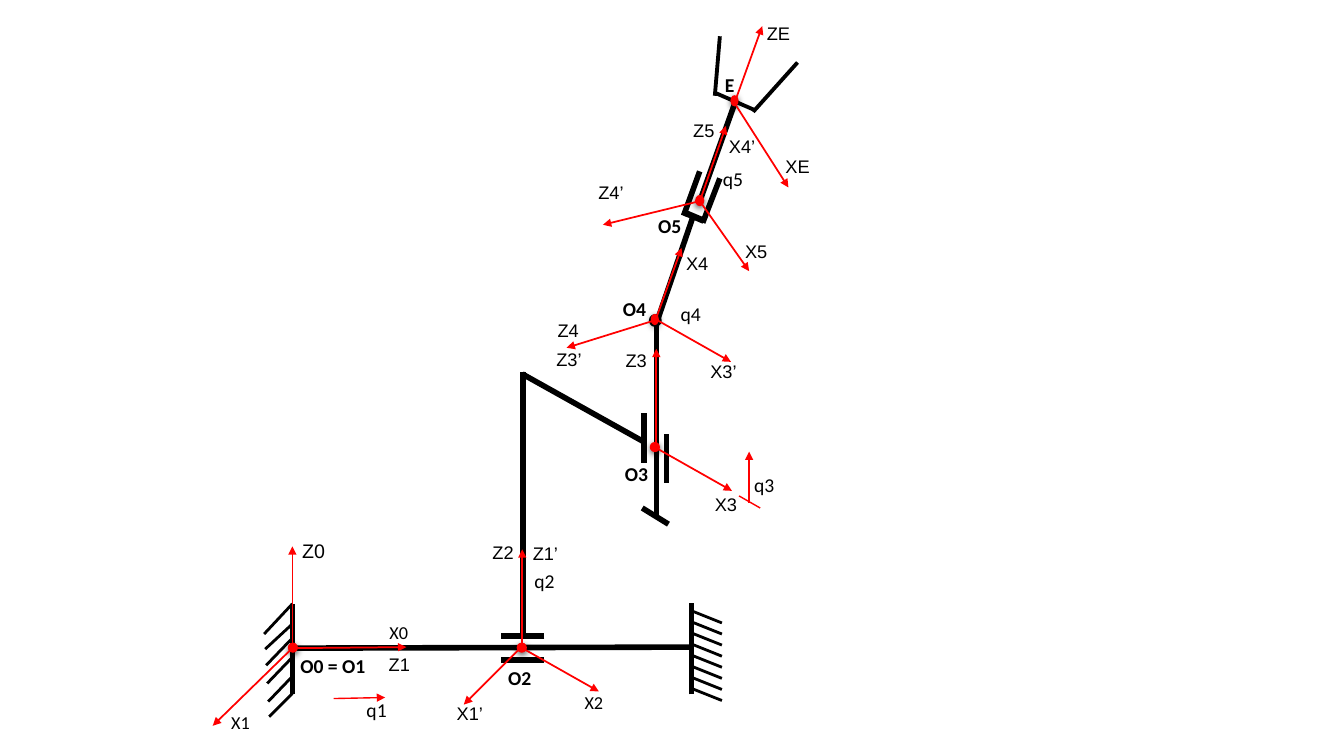
from lxml import etree
from pptx import Presentation
from pptx.dml.color import RGBColor
from pptx.enum import shapes, text
from pptx.oxml import ns
from pptx.util import Inches, Pt

COLORS = {"link": "000000", "frame": "FF0000"}

presentation = Presentation()
presentation.slide_width = Inches(13.33)
presentation.slide_height = Inches(7.5)
slide = presentation.slides.add_slide(presentation.slide_layouts[6])


def add_line(start, end, color, width, arrow=False):
    line = slide.shapes.add_connector(
        shapes.MSO_CONNECTOR.STRAIGHT, *(Inches(v) for v in (*start, *end)))
    line.line.color.rgb = RGBColor.from_string(COLORS[color])
    line.line.width = Pt(width)
    if arrow:
        etree.SubElement(line.line._get_or_add_ln(), ns.qn("a:tailEnd"), type="triangle")
    etree.SubElement(line._element.spPr, ns.qn("a:effectLst"))


def add_dot(left, top, width, height, color, line_width):
    """Add a filled joint marker and return it."""
    dot = slide.shapes.add_shape(
        shapes.MSO_SHAPE.OVAL, *(Inches(v) for v in (left, top, width, height)))
    dot.fill.solid()
    dot.fill.fore_color.rgb = RGBColor.from_string(COLORS[color])
    dot.line.color.rgb = RGBColor.from_string(COLORS[color])
    dot.line.width = Pt(line_width)
    dot.shadow.inherit = False
    return dot


# Walls, links and gripper
links = [
    ((5.4, 6.31), (4.97, 6.31), 4), ((5.4, 6.55), (4.97, 6.55), 4),
    ((7.09, 0.92), (7.48, 1.09), 2.75), ((7.47, 1.11), (7.91, 0.62), 2.75),
    ((7.09, 0.95), (7.14, 0.36), 2.75),
    ((6.86, 6.89), (6.86, 5.98), 4), ((2.9, 5.99), (2.9, 6.89), 4),
    ((6.84, 6.42), (2.9, 6.43), 4), ((5.19, 3.69), (5.19, 6.32), 4),
    ((6.38, 4.38), (5.18, 3.71), 4), ((6.39, 4.1), (6.39, 4.59), 4),
    ((6.61, 4.31), (6.61, 4.79), 4), ((6.51, 3.18), (6.51, 5.14), 4),
    ((6.37, 5.04), (6.63, 5.2), 4), ((6.87, 2.16), (6.52, 3.18), 4),
    ((6.79, 2.11), (6.98, 2.19), 4.5), ((7.14, 1.77), (6.97, 2.21), 4),
    ((6.94, 1.7), (6.78, 2.14), 4), ((7.3, 0.99), (6.94, 2), 4),
]
for start, end, width in links:
    add_line(start, end, "link", width)
for i in range(8):
    add_line((6.86, 6.06 + 0.11 * i), (7.16, 6.18 + 0.11 * i), "link", 2)
left_hatching = [(5.99, 6.29), (6.19, 6.44), (6.33, 6.6),
                 (6.52, 6.78), (6.71, 6.96), (6.88, 7.11)]
for i, (wall_y, outer_y) in enumerate(left_hatching):
    add_line((2.9, wall_y), (2.62 + 0.01 * i, outer_y), "link", 2)

# Joint origins
add_dot(6.45, 3.13, 0.1, 0.1, "link", 2)
origins = [
    (2.86, 6.38, 0.09, 0.09), (5.13, 6.38, 0.09, 0.09), (6.45, 4.39, 0.09, 0.09),
    (6.46, 3.12, 0.07, 0.1), (6.9, 1.94, 0.08, 0.1), (7.25, 0.95, 0.07, 0.1),
]
for origin in origins:
    dot = add_dot(*origin, "frame", 0.75)
    effects = dot._element.spPr.find(ns.qn("a:effectLst"))
    shadow = etree.SubElement(effects, ns.qn("a:outerShdw"), blurRad=str(Pt(4.5)),
                              dist=str(Pt(1.5)), dir="5400000", rotWithShape="0")
    shadow_color = etree.SubElement(shadow, ns.qn("a:srgbClr"), val=COLORS["link"])
    etree.SubElement(shadow_color, ns.qn("a:alpha"), val="63000")

# Frame axes
axes = [
    ((2.9, 6.39), (2.9, 5.42)), ((2.92, 6.41), (2.11, 7.2)), ((2.92, 6.43), (4.03, 6.42)),
    ((5.18, 6.43), (5.18, 5.45)), ((5.18, 6.43), (5.94, 6.86)), ((5.17, 6.42), (4.6, 6.99)),
    ((6.51, 4.44), (6.51, 3.46)), ((6.5, 4.44), (7.26, 4.87)),
    ((6.52, 3.17), (5.62, 3.45)), ((6.5, 3.18), (6.76, 2.46)), ((6.49, 3.16), (7.25, 3.59)),
    ((6.93, 1.98), (7.43, 2.69)), ((6.95, 1.97), (7.2, 1.25)), ((6.92, 2), (5.98, 2.23)),
    ((7.29, 1.03), (7.82, 1.86)), ((7.3, 0.98), (7.56, 0.26)),
]
for start, end in axes:
    add_line(start, end, "frame", 1.25, arrow=True)

# Joint motions: straight for q1 and q3, curved for q2, q4 and q5
add_line((3.31, 6.93), (3.82, 6.92), "frame", 1, arrow=True)
add_line((7.43, 4.99), (7.43, 4.48), "frame", 1, arrow=True)
add_line((7.54, 5.04), (7.33, 4.92), "frame", 1)
rotations = [
    [(4.96, 5.92), (5.02, 5.99), (5.07, 6.02), (5.12, 6.04), (5.16, 6.06), (5.22, 6.06),
     (5.27, 6.06), (5.32, 6.03), (5.41, 5.96), (5.42, 5.93)],
    [(5.39, 5.91), (5.42, 5.91), (5.46, 5.9), (5.46, 5.94), (5.47, 5.97)],
    [(6.63, 3.37), (6.68, 3.31), (6.7, 3.26), (6.71, 3.21), (6.71, 3.15),
     (6.7, 3.11), (6.68, 3.08), (6.62, 3.04), (6.6, 3.03)],
    [(6.58, 3.33), (6.58, 3.36), (6.6, 3.4), (6.64, 3.4), (6.68, 3.39)],
    [(7.2, 1.68), (7.18, 1.63), (7.16, 1.6), (7.13, 1.58), (7.09, 1.55),
     (7.05, 1.54), (7.02, 1.55), (6.95, 1.57), (6.93, 1.58)],
    [(7.14, 1.69), (7.17, 1.71), (7.21, 1.72), (7.23, 1.69), (7.25, 1.67)],
]
for points in rotations:
    builder = slide.shapes.build_freeform(*points[0], scale=Inches(1))
    builder.add_line_segments(points[1:], close=False)
    curve = builder.convert_to_shape()
    curve.fill.background()
    curve.line.color.rgb = RGBColor.from_string(COLORS["frame"])
    curve.line.width = Pt(1)
    curve.shadow.inherit = False

# Labels by style: font, size, bold, centred, then text, left, top, width
label_styles = [
    ("Calibri", 14, True, False, [
        ("O0 = O1", 2.88, 6.42, 0.85), ("O2", 4.94, 6.54, 0.49), ("O3", 6.1, 4.52, 0.45),
        ("O4", 6.08, 2.88, 0.53), ("O5", 6.43, 2.06, 0.55), ("E", 7.09, 0.66, 0.47)]),
    ("Calibri", 14, False, True, [
        ("q1", 3.44, 6.87, 0.59), ("q2", 5.18, 5.59, 0.44), ("q3", 7.36, 4.64, 0.44),
        ("q4", 6.59, 2.95, 0.52), ("q5", 7.03, 1.61, 0.48)]),
    ("Arial", 14, False, True, [("Z0", 2.86, 5.3, 0.5)]),
    ("Calibri", 13, False, True, [
        ("X0", 3.53, 6.11, 0.85), ("X1", 1.96, 7.01, 0.85), ("X2", 5.67, 6.81, 0.44)]),
    ("Arial", 13, False, False, [("Z3’", 5.42, 3.41, 0.62)]),
    ("Arial", 13, False, True, [
        ("Z1", 3.7, 6.43, 0.52), ("Z2", 4.76, 5.32, 0.46), ("Z1’", 5.18, 5.33, 0.46),
        ("X1’", 4.43, 6.92, 0.46), ("Z4", 5.43, 3.12, 0.41), ("Z3", 6.08, 3.42, 0.46),
        ("X3", 6.97, 4.84, 0.46), ("X4", 6.69, 2.45, 0.45), ("X3’", 6.93, 3.52, 0.49),
        ("X4’", 7.12, 1.29, 0.48), ("Z4’", 5.82, 1.75, 0.48), ("Z5", 6.74, 1.13, 0.48),
        ("X5", 7.26, 2.33, 0.48), ("ZE", 7.48, 0.17, 0.48), ("XE", 7.67, 1.49, 0.48)]),
]
for font_name, size, bold, centred, labels in label_styles:
    for label, left, top, width in labels:
        height = 0.34 if size == 14 else 0.32
        box = slide.shapes.add_textbox(*(Inches(v) for v in (left, top, width, height)))
        frame = box.text_frame
        frame.auto_size = text.MSO_AUTO_SIZE.SHAPE_TO_FIT_TEXT
        frame.word_wrap = not centred
        paragraph = frame.paragraphs[0]
        if centred:
            paragraph.alignment = text.PP_ALIGN.CENTER
        else:
            frame.margin_right = 0
        if bold:
            paragraph.line_spacing = 1.07
            paragraph.space_after = Pt(8)
        run = paragraph.add_run()
        run.text = label
        run.font.name = font_name
        run.font.size = Pt(size)
        run.font.bold = bold
        run.font.color.rgb = RGBColor.from_string(COLORS["link"])

presentation.save("out.pptx")
